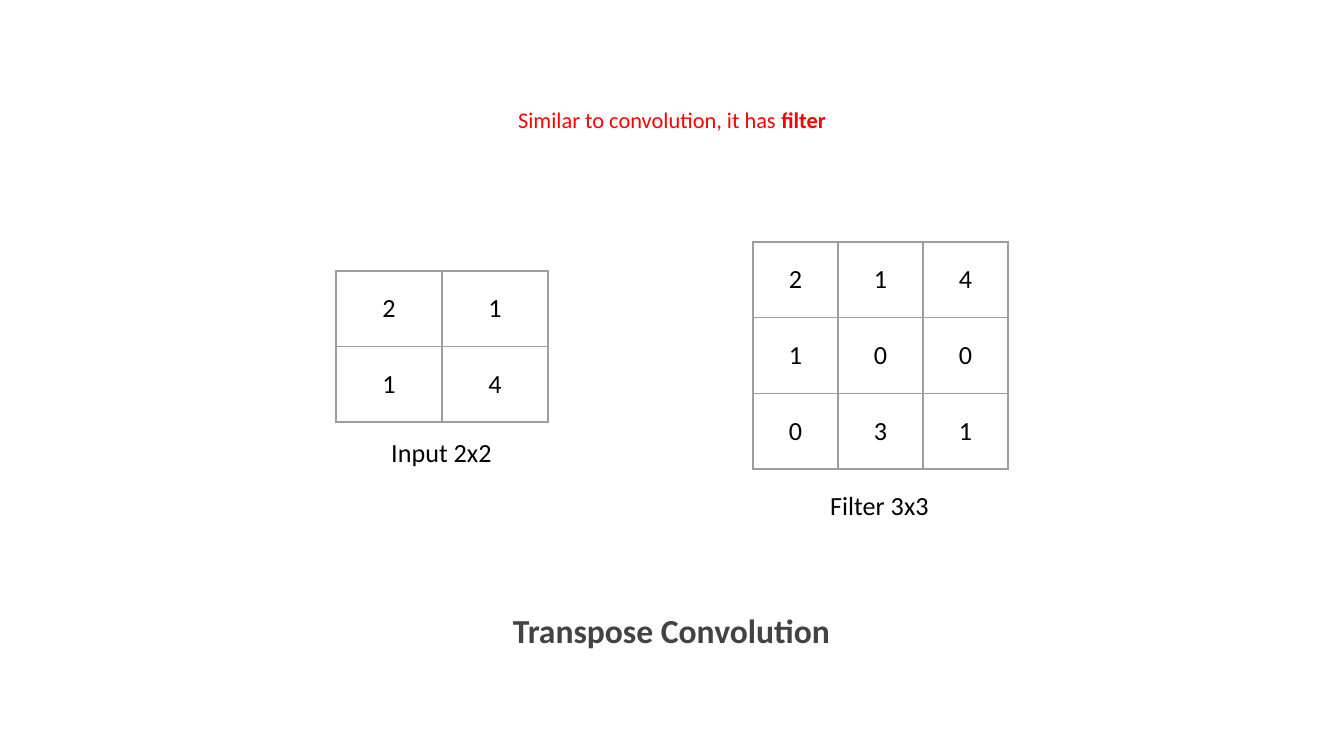
from lxml import etree
from pptx import Presentation
from pptx.dml.color import RGBColor
from pptx.enum.text import MSO_ANCHOR, PP_ALIGN
from pptx.oxml.ns import qn
from pptx.util import Emu, Pt

CENTER = PP_ALIGN.CENTER
TOP, MIDDLE = MSO_ANCHOR.TOP, MSO_ANCHOR.MIDDLE
FONT = "Calibri"
COLORS = {"title": "434343", "text": "000000", "note": "FF0000",
          "grid": "9E9E9E", "cell": "FFFFFF"}
WIDE, HIGH = 1344, 756
PAD = 13
LINE = Pt(0.75)

# Grids: left, top, width, height, values
GRIDS = [
    ((336, 271, 212, 151), [[2, 1], [1, 4]]),
    ((753, 242, 255, 227), [[2, 1, 4], [1, 0, 0], [0, 3, 1]]),
]

# Texts: box, anchor, size, color, runs of (text, bold)
TEXTS = [
    ((138, 599, 1067, 63), MIDDLE, 18, "title", [("Transpose Convolution", True)]),
    ((361, 423, 161, 75), TOP, 14, "text", [("Input 2x2", False)]),
    ((794, 476, 171, 50), TOP, 14, "text", [("Filter 3x3", False)]),
    ((418, 93, 508, 63), TOP, 12, "note",
     [("Similar to convolution, it has ", False), ("filter", True)]),
]


def px(n):
    return Emu(round(n * 914400 / 134.4))


def write(frame, runs, size, color):
    para = frame.paragraphs[0]
    para.alignment = CENTER
    for text, bold in runs:
        run = para.add_run()
        run.text = text
        font = run.font
        font.name, font.size, font.bold = FONT, Pt(size), bold
        font.color.rgb = RGBColor.from_string(COLORS[color])


def pad(part):
    part.margin_left = part.margin_right = px(PAD)
    part.margin_top = part.margin_bottom = px(PAD)


def border(cell):
    props = cell._tc.get_or_add_tcPr()
    for side in ("lnL", "lnR", "lnT", "lnB"):
        line = etree.SubElement(props, qn("a:" + side), w=str(LINE))
        fill = etree.SubElement(line, qn("a:solidFill"))
        etree.SubElement(fill, qn("a:srgbClr"), val=COLORS["grid"])


def add_grid(slide, box, values):
    rows, cols = len(values), len(values[0])
    table = slide.shapes.add_table(rows, cols, *map(px, box)).table
    table.first_row = table.horz_banding = False
    for col in table.columns:
        col.width = px(box[2] / cols)
    for row in table.rows:
        row.height = px(box[3] / rows)
    for r, row in enumerate(values):
        for c, value in enumerate(row):
            cell = table.cell(r, c)
            pad(cell)
            cell.vertical_anchor = MIDDLE
            border(cell)
            cell.fill.solid()
            cell.fill.fore_color.rgb = RGBColor.from_string(COLORS["cell"])
            write(cell.text_frame, [(str(value), False)], 14, "text")


def add_text(slide, box, anchor, size, color, runs):
    frame = slide.shapes.add_textbox(*map(px, box)).text_frame
    frame.word_wrap = True
    frame.vertical_anchor = anchor
    pad(frame)
    write(frame, runs, size, color)


def main():
    deck = Presentation()
    deck.slide_width, deck.slide_height = px(WIDE), px(HIGH)
    slide = deck.slides.add_slide(deck.slide_layouts[6])
    for grid in GRIDS:
        add_grid(slide, *grid)
    for text in TEXTS:
        add_text(slide, *text)
    deck.save("out.pptx")


if __name__ == "__main__":
    main()
